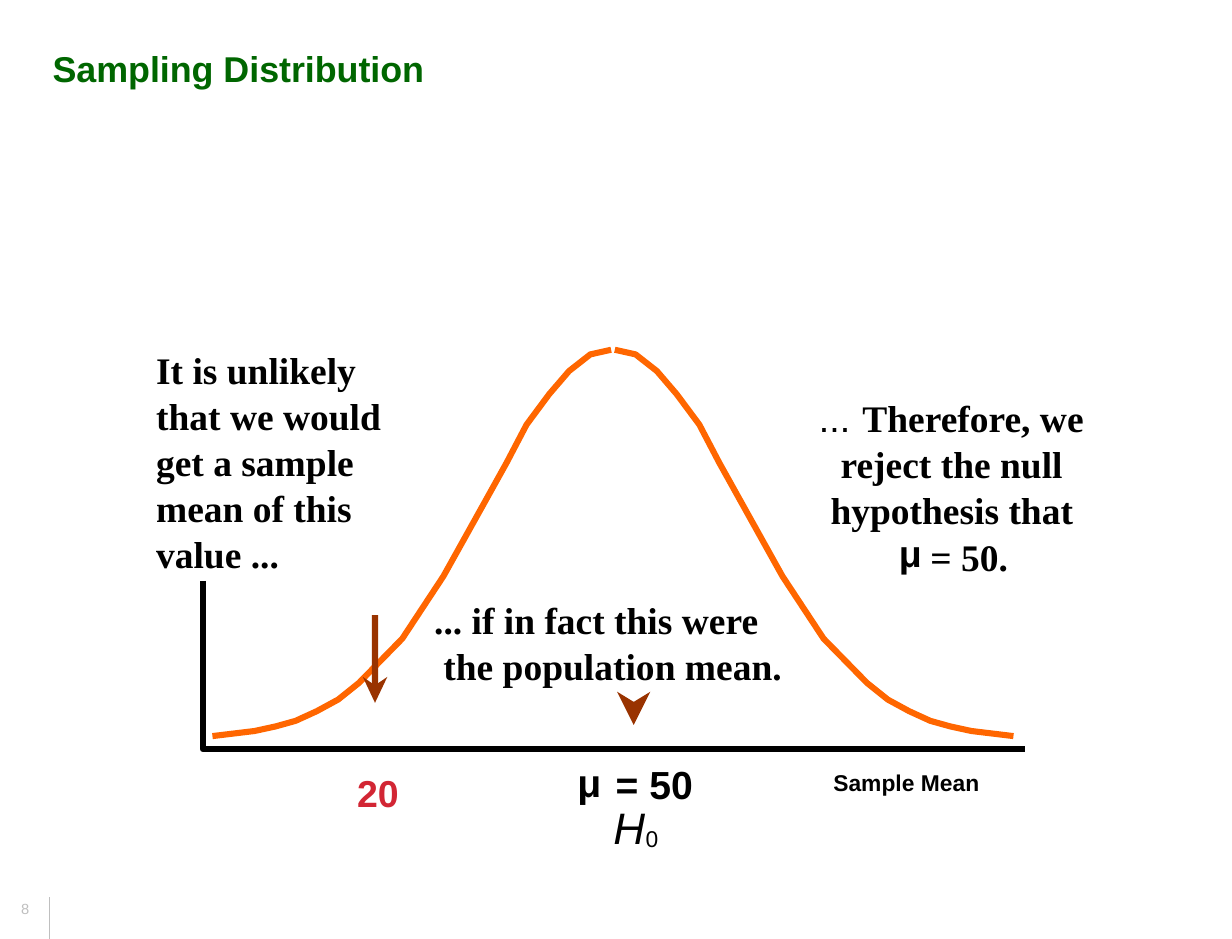
"""Build a slide that shows a sampling distribution with its rejection argument."""
from lxml import etree
from pptx import Presentation
from pptx.dml.color import RGBColor
from pptx.enum.shapes import MSO_CONNECTOR, MSO_SHAPE
from pptx.enum.text import MSO_AUTO_SIZE
from pptx.oxml.ns import qn
from pptx.util import Cm, Pt

STRAIGHT = MSO_CONNECTOR.STRAIGHT
RECTANGLE = MSO_SHAPE.RECTANGLE
FIT_SHAPE = MSO_AUTO_SIZE.SHAPE_TO_FIT_TEXT

BLACK = RGBColor(0x00, 0x00, 0x00)
GREEN = RGBColor(0x00, 0x66, 0x00)
ORANGE = RGBColor(0xFF, 0x66, 0x00)
BROWN = RGBColor(0x99, 0x33, 0x00)
RED = RGBColor(0xD2, 0x26, 0x34)
GRAY = RGBColor(0xBF, 0xBF, 0xBF)

NOTE = {"name": "Times New Roman", "size": Pt(23), "bold": True}
BOLD = {"name": "Arial", "size": Pt(23), "bold": True}
AXIS = {**BOLD, "size": Pt(24)}
PLAIN = {"name": "Arial", "size": Pt(23)}
SMALL = {"name": "Arial", "size": Pt(14)}

LINE_PITCH = Pt(28.2)
MIRROR_SUM = 26.54
LEFT_TAIL = [
    (4.6, 15.93), (5.51, 15.82), (5.97, 15.72), (6.4, 15.6),
    (6.86, 15.39), (7.32, 15.14), (7.77, 14.78), (8.71, 13.82),
    (9.6, 12.47), (10.52, 10.82), (10.97, 10.01), (11.4, 9.19),
    (11.89, 8.53), (12.32, 8.03), (12.78, 7.67), (13.23, 7.57),
]
AXES = [(4.39, 12.57), (4.39, 16.21), (22.2, 16.21)]

UNLIKELY = ["It is unlikely", "that we would", "get a sample", "mean of this", "value ..."]
LABELS = [
    (1.14, 1.02, 9, 0.9, "Sampling Distribution", {**BOLD, "size": Pt(22)}, GREEN),
    (0.46, 19.48, 0.24, 0.37, "8", {**PLAIN, "size": Pt(9)}, GRAY),
    (18.04, 16.64, 3.3, 0.61, "Sample Mean", {**SMALL, "bold": True}, BLACK),
    (12.5, 16.41, 0.55, 1.04, "μ", AXIS, BLACK),
    (13.33, 16.46, 1.85, 1.04, "= 50", AXIS, BLACK),
    (9.4, 12.93, 7.2, 0.99, "... if in fact this were", NOTE, BLACK),
    (9.6, 13.92, 7.5, 0.99, "the population mean.", NOTE, BLACK),
    (17.73, 8.56, 0.91, 0.99, "...", PLAIN, BLACK),
    (18.67, 8.55, 5.05, 0.99, "Therefore, we", NOTE, BLACK),
    (18.2, 9.55, 5.05, 0.99, "reject the null", NOTE, BLACK),
    (17.98, 10.54, 5.49, 0.99, "hypothesis that", NOTE, BLACK),
    (19.46, 11.48, 0.55, 0.99, "μ", BOLD, BLACK),
    (20.14, 11.56, 1.9, 0.99, "= 50.", NOTE, BLACK),
    (7.73, 16.66, 1, 0.99, "20", BOLD, RED),
    (13.28, 17.32, 0.75, 1.17, "H", {**PLAIN, "size": Pt(27), "italic": True}, BLACK),
    (13.98, 17.85, 0.32, 0.61, "0", SMALL, BLACK),
]


def add_text(slide, left, top, width, height, lines, font_format, color, pitch=None):
    """Add an unwrapped text box without insets, one paragraph per line."""
    shape = slide.shapes.add_textbox(Cm(left), Cm(top), Cm(width), Cm(height))
    frame = shape.text_frame
    frame.word_wrap = False
    frame.auto_size = FIT_SHAPE
    for side in ("left", "top", "right", "bottom"):
        setattr(frame, f"margin_{side}", 0)
    for index, line in enumerate(lines):
        paragraph = frame.add_paragraph() if index else frame.paragraphs[0]
        if pitch:
            paragraph.line_spacing = pitch
        run = paragraph.add_run()
        run.text = line
        for attribute, value in font_format.items():
            setattr(run.font, attribute, value)
        run.font.color.rgb = color


def paint(shape, color):
    """Fill a shape with a colour and take away its outline and shadow."""
    shape.shadow.inherit = False
    shape.fill.solid()
    shape.fill.fore_color.rgb = color
    shape.line.fill.background()


def build_path(shapes, points, close):
    """Build a freeform through points given in centimetres."""
    corners = [(Cm(x), Cm(y)) for x, y in points]
    builder = shapes.build_freeform(*corners[0])
    builder.add_line_segments(corners[1:], close=close)
    return builder.convert_to_shape()


def add_polyline(shapes, points, color):
    """Draw an open thick line."""
    shape = build_path(shapes, points, False)
    shape.shadow.inherit = False
    shape.fill.background()
    shape.line.color.rgb = color
    shape.line.width = Pt(3.75)


def add_arrowhead(shapes, center, top, width, height, notch):
    """Draw a notched head that points down."""
    half = width / 2
    points = [(center - half, top), (center, top + height),
              (center + half, top), (center, top + notch)]
    paint(build_path(shapes, points, True), BROWN)


def add_arrow(slide):
    """Draw the grouped arrow that points at the sample mean."""
    group = slide.shapes.add_group_shape()
    shaft = group.shapes.add_shape(RECTANGLE, Cm(8.05), Cm(13.31), Cm(0.14), Cm(1.53))
    paint(shaft, BROWN)
    add_arrowhead(group.shapes, 8.12, 14.65, 0.53, 0.56, 0.18)


def add_footer_rule(slide):
    """Draw the thin rule beside the slide number."""
    rule = slide.shapes.add_connector(STRAIGHT, Cm(1.06), Cm(20.32), Cm(1.06), Cm(19.41))
    rule.line.color.rgb = GRAY
    rule.line.width = Pt(0.5)
    etree.SubElement(rule.element.spPr, qn("a:effectLst"))


def main():
    """Build and save the slide."""
    presentation = Presentation()
    presentation.slide_width = Cm(26.67)
    presentation.slide_height = Cm(20.32)
    slide = presentation.slides.add_slide(presentation.slide_layouts[6])
    add_footer_rule(slide)
    right_tail = [(MIRROR_SUM - x, y) for x, y in LEFT_TAIL]
    for points, color in ((right_tail, ORANGE), (LEFT_TAIL, ORANGE), (AXES, BLACK)):
        add_polyline(slide.shapes, points, color)
    add_text(slide, 3.38, 7.48, 5.1, 4.98, UNLIKELY, NOTE, BLACK, LINE_PITCH)
    for left, top, width, height, text, font_format, color in LABELS:
        add_text(slide, left, top, width, height, [text], font_format, color)
    add_arrow(slide)
    add_arrowhead(slide.shapes, 13.72, 14.97, 0.72, 0.72, 0.22)
    presentation.save("out.pptx")


if __name__ == "__main__":
    main()
